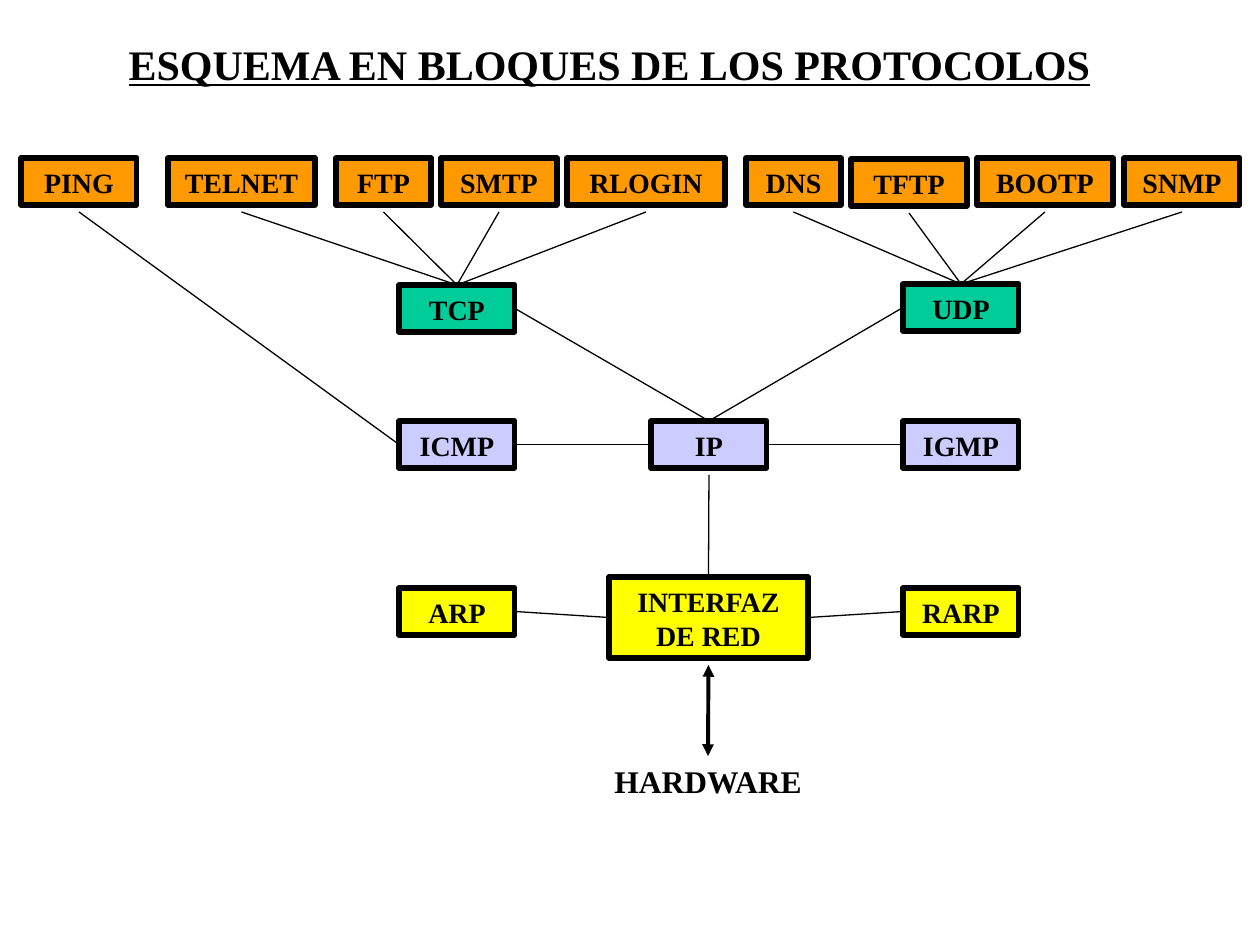
from pptx import Presentation
from pptx.dml.color import RGBColor
from pptx.enum.shapes import MSO_CONNECTOR as Connector, MSO_SHAPE as Shape
from pptx.enum.text import MSO_ANCHOR as Anchor, MSO_AUTO_SIZE as AutoSize, PP_ALIGN as Align
from pptx.oxml.ns import qn
from pptx.util import Emu, Pt
from lxml.etree import SubElement

SCALE = 914400 / 126
COLORS = {
    "ink": "000000",
    "application": "FF9900",
    "transport": "00CC99",
    "network": "CCCCFF",
    "link": "FFFF00",
}
TOP, LEFT, BOTTOM, RIGHT = range(4)
BOX_WIDTH, BOX_HEIGHT = 116, 47
BOTTOM_GAP = 7
COLUMNS = [399 + 252 * column for column in range(3)]


def px(value):
    return Emu(round(value * SCALE))


class Diagram:
    font = "Times New Roman"

    def __init__(self, deck):
        self.slide = deck.slides.add_slide(deck.slide_layouts[5])

    def color(self, name):
        return RGBColor.from_string(COLORS[name])

    def add_text(self, shape, text, size, align=Align.CENTER, underline=None):
        frame = shape.text_frame
        frame.word_wrap = True
        frame.auto_size = AutoSize.NONE
        frame.vertical_anchor = Anchor.BOTTOM
        para = frame.paragraphs[0]
        para.alignment = align
        span = para.add_run()
        span.text = text
        font = span.font
        font.name = self.font
        font.size = Pt(size)
        font.bold = True
        font.underline = underline
        font.color.rgb = self.color("ink")

    def title(self, text, left, top, width, height):
        title = self.slide.shapes.title
        title.left, title.top = px(left), px(top)
        title.width, title.height = px(width), px(height)
        self.add_text(title, text, 24, Align.LEFT, True)

    def box(self, text, fill, left, top, width=BOX_WIDTH, height=BOX_HEIGHT):
        box = self.slide.shapes.add_shape(
            Shape.RECTANGLE, px(left), px(top), px(width), px(height))
        box.shadow.inherit = False
        box.fill.solid()
        box.fill.fore_color.rgb = self.color(fill)
        box.line.color.rgb = self.color("ink")
        box.line.width = Pt(3)
        self.add_text(box, text, 16)
        return box

    def label(self, text, left, top, width, height):
        label = self.slide.shapes.add_textbox(px(left), px(top), px(width), px(height))
        self.add_text(label, text, 18)
        return label

    def connect(self, source, side, target, target_side, weight=0.75, arrows=False):
        start_x = source.left + source.width // 2
        start_y = source.top + source.height + px(BOTTOM_GAP)
        line = self.slide.shapes.add_connector(
            Connector.STRAIGHT, start_x, start_y, target.left, target.top)
        if side != BOTTOM:
            line.begin_connect(source, side)
        line.end_connect(target, target_side)
        line.line.color.rgb = self.color("ink")
        line.line.width = Pt(weight)
        properties = line._element.spPr
        if arrows:
            for end in ("a:headEnd", "a:tailEnd"):
                SubElement(properties.find(qn("a:ln")), qn(end), type="triangle")
        SubElement(properties, qn("a:effectLst"))


def main():
    deck = Presentation()
    deck.slide_width, deck.slide_height = px(1260), px(945)
    diagram = Diagram(deck)
    diagram.title("ESQUEMA EN BLOQUES DE LOS PROTOCOLOS", 116, 32, 1071, 63)

    applications = [
        ("PING", 21, 158, 116),
        ("TELNET", 168, 158, 147),
        ("FTP", 336, 158, 95),
        ("SMTP", 441, 158, 116),
        ("RLOGIN", 567, 158, 158),
        ("DNS", 746, 158, 95),
        ("TFTP", 851, 159, 116),
        ("BOOTP", 977, 158, 136),
        ("SNMP", 1124, 158, 116),
    ]
    ping, *clients = [
        diagram.box(name, "application", left, top, width)
        for name, left, top, width in applications
    ]
    tcp = diagram.box("TCP", "transport", COLUMNS[0], 285)
    udp = diagram.box("UDP", "transport", COLUMNS[2], 284)
    icmp, ip, igmp = [
        diagram.box(name, "network", left, 421)
        for name, left in zip(("ICMP", "IP", "IGMP"), COLUMNS)
    ]
    arp = diagram.box("ARP", "link", COLUMNS[0], 588)
    interface = diagram.box("INTERFAZ DE RED", "link", 609, 577, 199, 81)
    rarp = diagram.box("RARP", "link", COLUMNS[2], 588)
    hardware = diagram.label("HARDWARE", 577, 756, 262, 50)

    diagram.connect(ping, BOTTOM, icmp, LEFT)
    for index, client in enumerate(clients):
        diagram.connect(client, BOTTOM, tcp if index < 4 else udp, TOP)
    for source, side, target, target_side in (
        (tcp, RIGHT, ip, TOP),
        (udp, LEFT, ip, TOP),
        (icmp, RIGHT, ip, LEFT),
        (ip, RIGHT, igmp, LEFT),
        (ip, BOTTOM, interface, TOP),
        (arp, RIGHT, interface, LEFT),
        (interface, RIGHT, rarp, LEFT),
    ):
        diagram.connect(source, side, target, target_side)
    diagram.connect(interface, BOTTOM, hardware, TOP, weight=2.25, arrows=True)

    deck.save("out.pptx")


if __name__ == "__main__":
    main()
